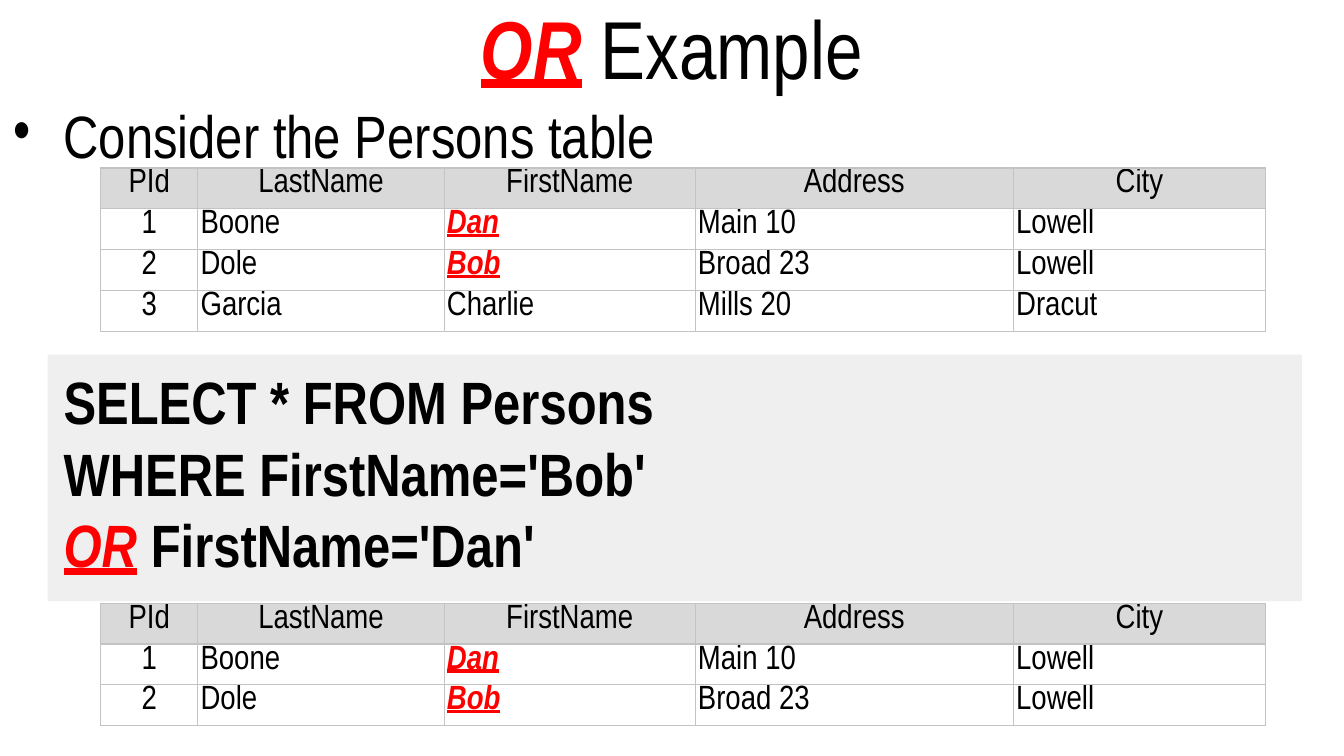
from lxml.etree import SubElement
from pptx import Presentation
from pptx.dml.color import RGBColor
from pptx.enum.shapes import MSO_SHAPE
from pptx.enum.text import MSO_ANCHOR, PP_ALIGN
from pptx.oxml.ns import qn
from pptx.util import Pt

COLORS = {
    "text": "000000",
    "accent": "FF0000",
    "panel": "EFEFEF",
    "header": "D9D9D9",
    "cell": "FFFFFF",
    "border": "C3C3C3",
}
FONT = "Arial Narrow"
COLUMN_WIDTHS = [52, 132, 134.5, 170.5, 135]
ROW_HEIGHT = 19.7
HEADER = ["PId", "LastName", "FirstName", "Address", "City"]
PERSONS = [
    ["1", "Boone", "Dan", "Main 10", "Lowell"],
    ["2", "Dole", "Bob", "Broad 23", "Lowell"],
    ["3", "Garcia", "Charlie", "Mills 20", "Dracut"],
]
MATCHES = [person for person in PERSONS if person[2] in ("Bob", "Dan")]
CODE_LINES = ["SELECT * FROM Persons", "WHERE FirstName='Bob'"]


def color(name):
    return RGBColor.from_string(COLORS[name])


def style_paragraph(para, size, bold=False):
    para.font.name = FONT
    para.font.size = Pt(size)
    para.font.bold = bold
    para.font.color.rgb = color("text")


def add_span(para, text, accent=False):
    span = para.add_run()
    span.text = text
    if accent:
        span.font.bold = span.font.italic = span.font.underline = True
        span.font.color.rgb = color("accent")


def set_indent(para, left, first, bullet=None):
    properties = para._p.get_or_add_pPr()
    properties.set("marL", str(Pt(left)))
    properties.set("indent", str(Pt(first)))
    if bullet:
        SubElement(properties, qn("a:buFont")).set("typeface", FONT)
        SubElement(properties, qn("a:buChar")).set("char", bullet)
    else:
        SubElement(properties, qn("a:buNone"))


def add_text_frame(page, left, top, width, height):
    box = page.shapes.add_textbox(Pt(left), Pt(top), Pt(width), Pt(height))
    box.text_frame.word_wrap = True
    return box.text_frame


def add_code_panel(page, left, top, width, height):
    panel = page.shapes.add_shape(
        MSO_SHAPE.RECTANGLE, Pt(left), Pt(top), Pt(width), Pt(height))
    panel.shadow.inherit = False
    panel.fill.solid()
    panel.fill.fore_color.rgb = color("panel")
    panel.line.fill.background()


def add_body(page, left, top, width, height):
    frame = add_text_frame(page, left, top, width, height)
    lead = frame.paragraphs[0]
    set_indent(lead, 27, -27, "•")
    style_paragraph(lead, 32)
    add_span(lead, "Consider the Persons table")

    code = frame.add_paragraph()
    set_indent(code, 27, 0)
    code.space_before = Pt(104)
    style_paragraph(code, 32, bold=True)
    for line in CODE_LINES:
        add_span(code, line)
        code.add_line_break()
    add_span(code, "OR", accent=True)
    add_span(code, " FirstName='Dan'")


def add_title(page, left, top, width, height):
    frame = add_text_frame(page, left, top, width, height)
    frame.vertical_anchor = MSO_ANCHOR.MIDDLE
    para = frame.paragraphs[0]
    para.alignment = PP_ALIGN.CENTER
    style_paragraph(para, 44)
    add_span(para, "OR", accent=True)
    add_span(para, " Example")


def set_borders(cell):
    properties = cell._tc.get_or_add_tcPr()
    for position, side in enumerate(("a:lnL", "a:lnR", "a:lnT", "a:lnB")):
        line = SubElement(properties, qn(side))
        line.set("w", str(Pt(0.75)))
        fill = SubElement(line, qn("a:solidFill"))
        SubElement(fill, qn("a:srgbClr")).set("val", COLORS["border"])
        properties.insert(position, line)


def add_persons_table(page, left, top, persons):
    rows = [HEADER] + persons
    table = page.shapes.add_table(
        len(rows), len(HEADER), Pt(left), Pt(top),
        Pt(sum(COLUMN_WIDTHS)), Pt(ROW_HEIGHT * len(rows))).table
    for column, width in zip(table.columns, COLUMN_WIDTHS):
        column.width = Pt(width)
    for row_index, row in enumerate(rows):
        table.rows[row_index].height = Pt(ROW_HEIGHT)
        for column_index, text in enumerate(row):
            cell = table.cell(row_index, column_index)
            cell.margin_left = cell.margin_right = Pt(1.5)
            cell.margin_top = cell.margin_bottom = Pt(1.2)
            cell.fill.solid()
            cell.fill.fore_color.rgb = color("cell" if row_index else "header")
            set_borders(cell)
            para = cell.text_frame.paragraphs[0]
            centered = row_index == 0 or column_index == 0
            para.alignment = PP_ALIGN.CENTER if centered else PP_ALIGN.LEFT
            para.line_spacing = 0.9
            style_paragraph(para, 18)
            add_span(para, text, accent=text in ("Dan", "Bob"))


def main():
    deck = Presentation()
    deck.slide_width, deck.slide_height = Pt(720), Pt(405)
    page = deck.slides.add_slide(deck.slide_layouts[6])
    add_code_panel(page, 25.5, 190, 672, 132)
    add_body(page, 0, 49.5, 720, 355.5)
    add_title(page, 0, 0, 720, 49.7)
    add_persons_table(page, 54, 90, PERSONS)
    add_persons_table(page, 54, 323.2, MATCHES)
    deck.save("out.pptx")


if __name__ == "__main__":
    main()
